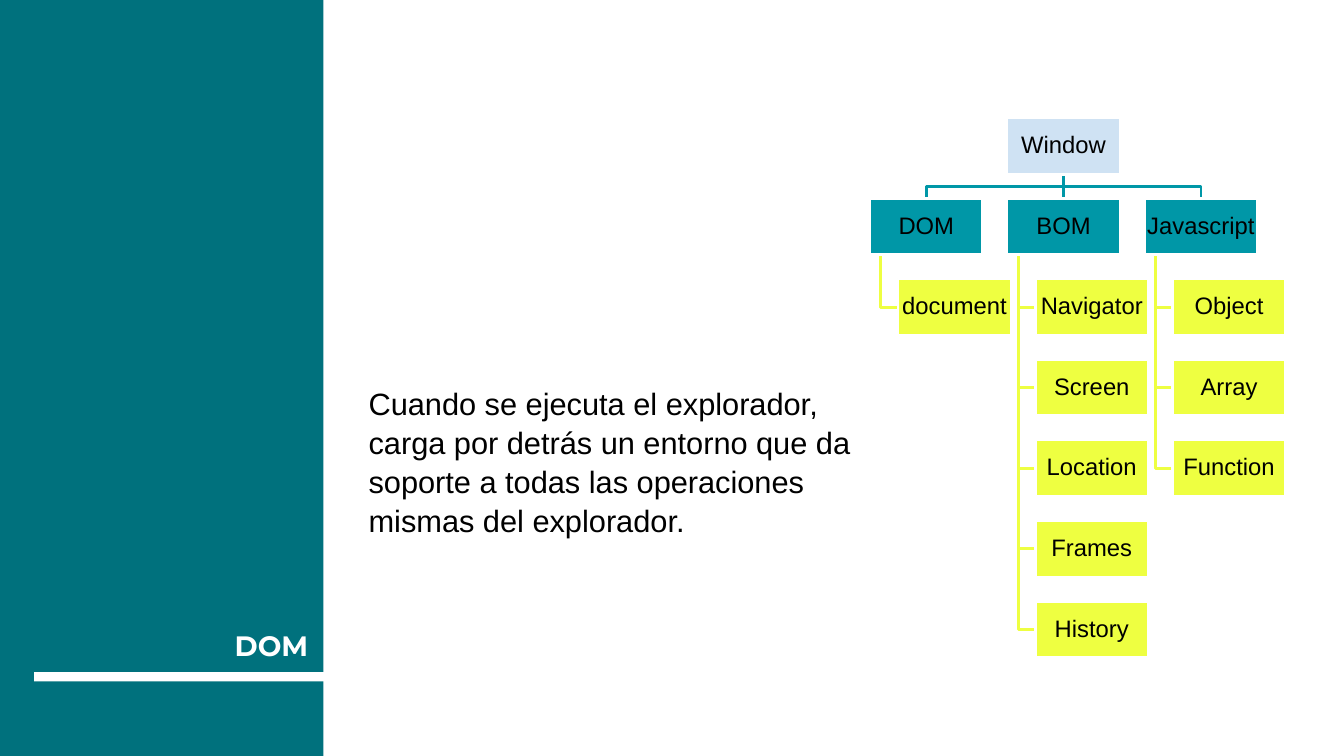
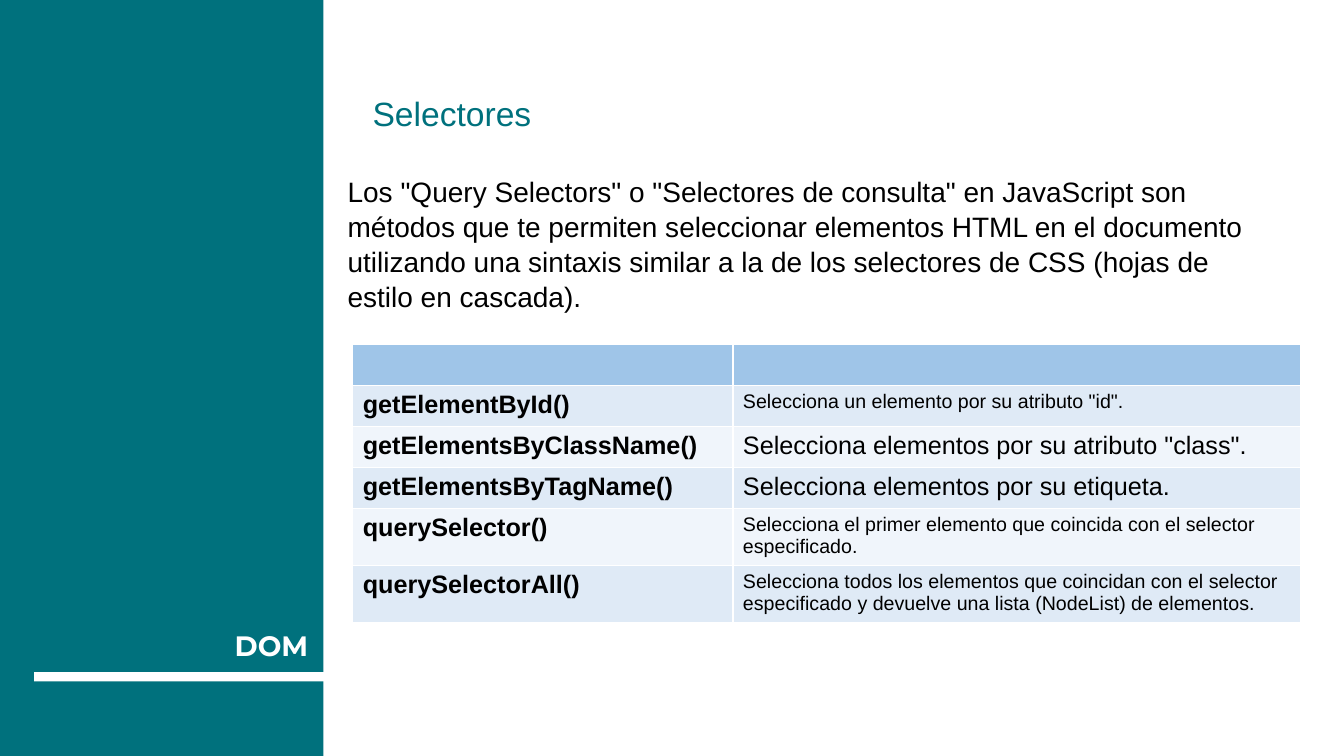
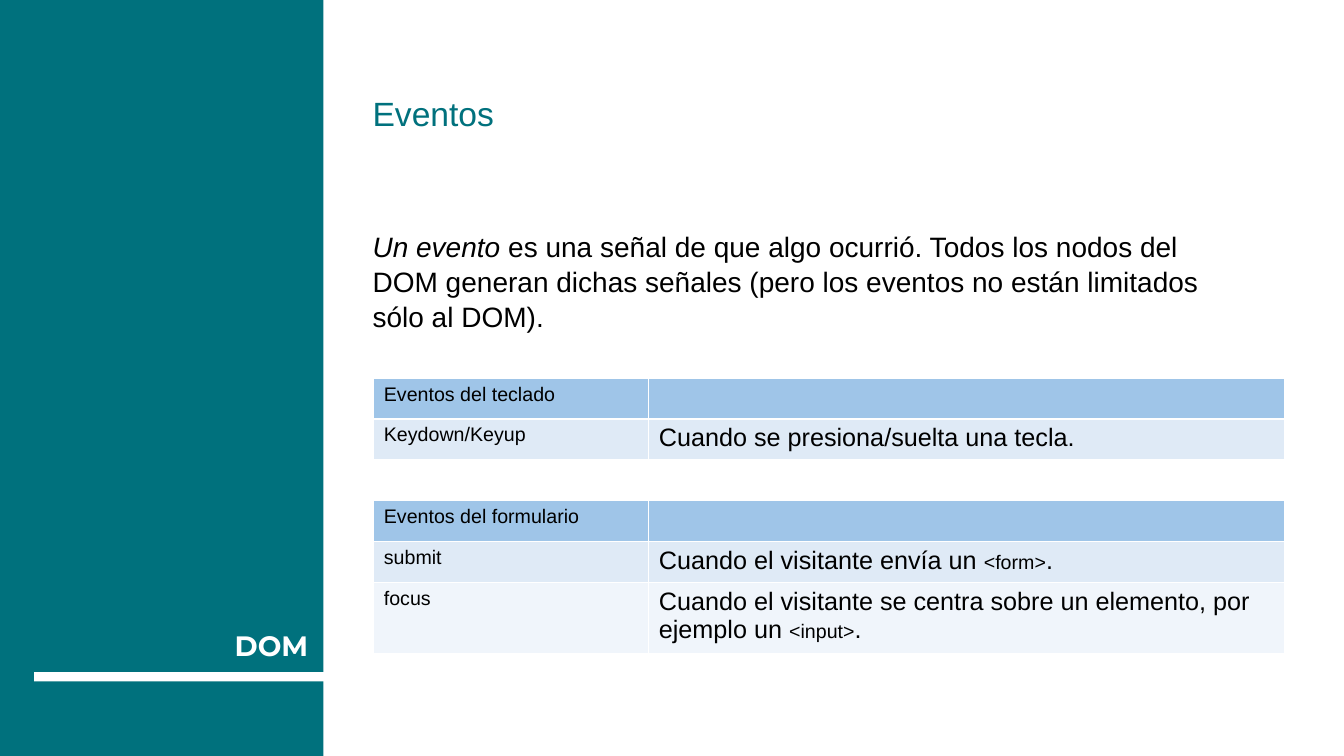
import pptx
import pptx.util
import pptx.dml.color
import pptx.enum.shapes
import pptx.enum.text

Cm = pptx.util.Cm
RGB = pptx.dml.color.RGBColor.from_string
RECTANGLE = pptx.enum.shapes.MSO_SHAPE.RECTANGLE
ALIGN = pptx.enum.text.PP_ALIGN
ANCHOR = pptx.enum.text.MSO_ANCHOR
COLOURS = {
    "teal": "00717D", "white": "FFFFFF", "black": "000000",
    "root": "CFE2F3", "branch": "0097A7", "leaf": "EEFF41",
    "header": "9FC5E8", "band": "DFEAF6", "light": "F0F5FB",
}


def write(para, pieces, colour="black", font="Arial"):
    for text, size, emphasis in pieces:
        span = para.add_run()
        span.text = text
        span.font.name = font
        span.font.size = pptx.util.Pt(size)
        span.font.bold = emphasis == "bold"
        span.font.italic = emphasis == "italic"
        span.font.color.rgb = RGB(COLOURS[colour])


def add_text(page, place, pieces, colour="black", font="Arial"):
    box = page.shapes.add_textbox(*map(Cm, place))
    box.text_frame.word_wrap = True
    para = box.text_frame.paragraphs[0]
    para.line_spacing = 1.05
    write(para, pieces, colour, font)
    return box


deck = pptx.Presentation()
deck.slide_width = Cm(33.87)
deck.slide_height = Cm(19.05)
blank = deck.slide_layouts[6]
pages = [deck.slides.add_slide(blank) for number in range(3)]
tree_page, selectors_page, events_page = pages

for place, colour in [((-0.13, -0.25, 8.28, 19.56), "teal"),
                      ((0.86, 16.94, 7.72, 0.23), "white")]:
    panel = tree_page.shapes.add_shape(RECTANGLE, *map(Cm, place))
    panel.shadow.inherit = False
    panel.fill.solid()
    panel.fill.fore_color.rgb = RGB(COLOURS[colour])
    panel.line.fill.background()
    blank.shapes.element.append(panel.element)

for page in pages:
    label = add_text(page, (0.3, 12.93, 7.72, 4.01), [("DOM", 20, "bold")], "white", "Montserrat")
    frame = label.text_frame
    frame.vertical_anchor = ANCHOR.BOTTOM
    frame.margin_top = frame.margin_bottom = Cm(0.25)
    frame.paragraphs[0].alignment = ALIGN.RIGHT

for page, title in [(selectors_page, "Selectores"), (events_page, "Eventos")]:
    add_text(page, (9.14, 2.16, 23.24, 1.27), [(title, 24, "")], "teal")

add_text(tree_page, (9.04, 9.53, 13.28, 4.01), [
    ("Cuando se ejecuta el explorador, carga por detrás un entorno que da soporte "
     "a todas las operaciones mismas del explorador.", 22, "")])
add_text(selectors_page, (8.51, 4.22, 23.88, 3.68), [
    ('Los "Query Selectors" o "Selectores de consulta" en JavaScript son métodos que te '
     "permiten seleccionar elementos HTML en el documento utilizando una sintaxis similar "
     "a la de los selectores de CSS (hojas de estilo en cascada).", 20, "")])
add_text(events_page, (9.14, 5.61, 22.17, 2.82), [
    ("Un evento", 20, "italic"),
    (" es una señal de que algo ocurrió. Todos los nodos del DOM generan dichas señales "
     "(pero los eventos no están limitados sólo al DOM).", 20, "")])

branches = [
    ("DOM", ["document"]),
    ("BOM", ["Navigator", "Screen", "Location", "Frames", "History"]),
    ("Javascript", ["Object", "Array", "Function"]),
]
tree_left, tree_top = 21.92, 2.97
column_step, row_step = 3.46, 2.03
node_width, node_height = 2.85, 1.42
indent, spine_offset = 0.71, 0.28
root_left = tree_left + column_step
root_middle = root_left + node_width / 2
root_bottom = tree_top + node_height
branch_top = tree_top + row_step
bus = (root_bottom + branch_top) / 2

nodes = [("Window", root_left, tree_top, "root")]
routes = []
for column, (branch, leaves) in enumerate(branches):
    left = tree_left + column * column_step
    middle = left + node_width / 2
    nodes.append((branch, left, branch_top, "branch"))
    if left != root_left:
        routes.append(("branch", [(root_middle, root_bottom), (root_middle, bus),
                                  (middle, bus), (middle, branch_top)]))
    spine = left + spine_offset
    for row, leaf in enumerate(leaves, 1):
        top = branch_top + row * row_step
        nodes.append((leaf, left + indent, top, "leaf"))
        leaf_middle = top + node_height / 2
        routes.append(("leaf", [(spine, branch_top + node_height), (spine, leaf_middle),
                                (left + indent, leaf_middle)]))

for colour, points in routes:
    start, *corners = [(Cm(x), Cm(y)) for x, y in points]
    builder = tree_page.shapes.build_freeform(*start)
    builder.add_line_segments(corners, close=False)
    route = builder.convert_to_shape()
    route.shadow.inherit = False
    route.fill.background()
    route.line.color.rgb = RGB(COLOURS[colour])
    route.line.width = pptx.util.Pt(2)

trunk = tree_page.shapes.add_connector(
    pptx.enum.shapes.MSO_CONNECTOR.STRAIGHT,
    Cm(root_middle), Cm(root_bottom), Cm(root_middle), Cm(branch_top))
trunk.line.color.rgb = RGB(COLOURS["branch"])
trunk.line.width = pptx.util.Pt(2)
trunk.element.spPr.get_or_change_to_effectLst() if hasattr(
    trunk.element.spPr, "get_or_change_to_effectLst") else trunk.element.spPr.append(
    pptx.oxml.parse_xml('<a:effectLst xmlns:a="http://schemas.openxmlformats.org/drawingml/2006/main"/>'))

boxes = {}
for name, left, top, colour in nodes:
    box = tree_page.shapes.add_shape(RECTANGLE, Cm(left), Cm(top), Cm(node_width), Cm(node_height))
    box.shadow.inherit = False
    box.fill.solid()
    box.fill.fore_color.rgb = RGB(COLOURS[colour])
    box.line.color.rgb = RGB(COLOURS["white"])
    box.line.width = pptx.util.Pt(2)
    frame = box.text_frame
    frame.word_wrap = False
    frame.vertical_anchor = ANCHOR.MIDDLE
    frame.margin_left = frame.margin_right = frame.margin_top = frame.margin_bottom = Cm(0.03)
    para = frame.paragraphs[0]
    para.alignment = ALIGN.CENTER
    para.line_spacing = 0.9
    write(para, [(name, 17, "")])
    boxes[name] = box
trunk.begin_connect(boxes["Window"], 2)
trunk.end_connect(boxes["BOM"], 0)

selector_rows = [
    ("getElementById()", 'Selecciona un elemento por su atributo "id".', 14),
    ("getElementsByClassName()", 'Selecciona elementos por su atributo "class".', 18),
    ("getElementsByTagName()", "Selecciona elementos por su etiqueta.", 18),
    ("querySelector()", "Selecciona el primer elemento que coincida con el selector especificado.", 14),
    ("querySelectorAll()", "Selecciona todos los elementos que coincidan con el selector especificado "
     "y devuelve una lista (NodeList) de elementos.", 14),
]
tables = [
    (selectors_page, 8.89, 8.69, (9.58, 14.3),
     [([], [])] + [([(method, 18, "bold")], [(use, size, "")])
                   for method, use, size in selector_rows]),
    (events_page, 9.42, 9.53, (6.93, 16.03), [
        ([("Eventos del teclado", 14, "")], []),
        ([("Keydown/Keyup", 14, "")], [("Cuando se presiona/suelta una tecla.", 18, "")]),
    ]),
    (events_page, 9.42, 12.62, (6.93, 16.03), [
        ([("Eventos del formulario", 14, "")], []),
        ([("submit", 14, "")],
         [("Cuando el visitante envía un ", 18, ""), ("<form>", 14, ""), (".", 18, "")]),
        ([("focus", 14, "")],
         [("Cuando el visitante se centra sobre un elemento, por ejemplo un ", 18, ""),
          ("<input>", 14, ""), (".", 18, "")]),
    ]),
]
row_height = 1.03
for page, left, top, widths, rows in tables:
    table = page.shapes.add_table(len(rows), len(widths), Cm(left), Cm(top),
                                  Cm(sum(widths)), Cm(row_height * len(rows))).table
    for column, width in zip(table.columns, widths):
        column.width = Cm(width)
    for index, row in enumerate(rows):
        table.rows[index].height = Cm(row_height)
        colour = "header" if index == 0 else ("light", "band")[index % 2]
        for cell, pieces in zip(table.rows[index].cells, row):
            cell.fill.solid()
            cell.fill.fore_color.rgb = RGB(COLOURS[colour])
            write(cell.text_frame.paragraphs[0], pieces)

deck.save("out.pptx")
